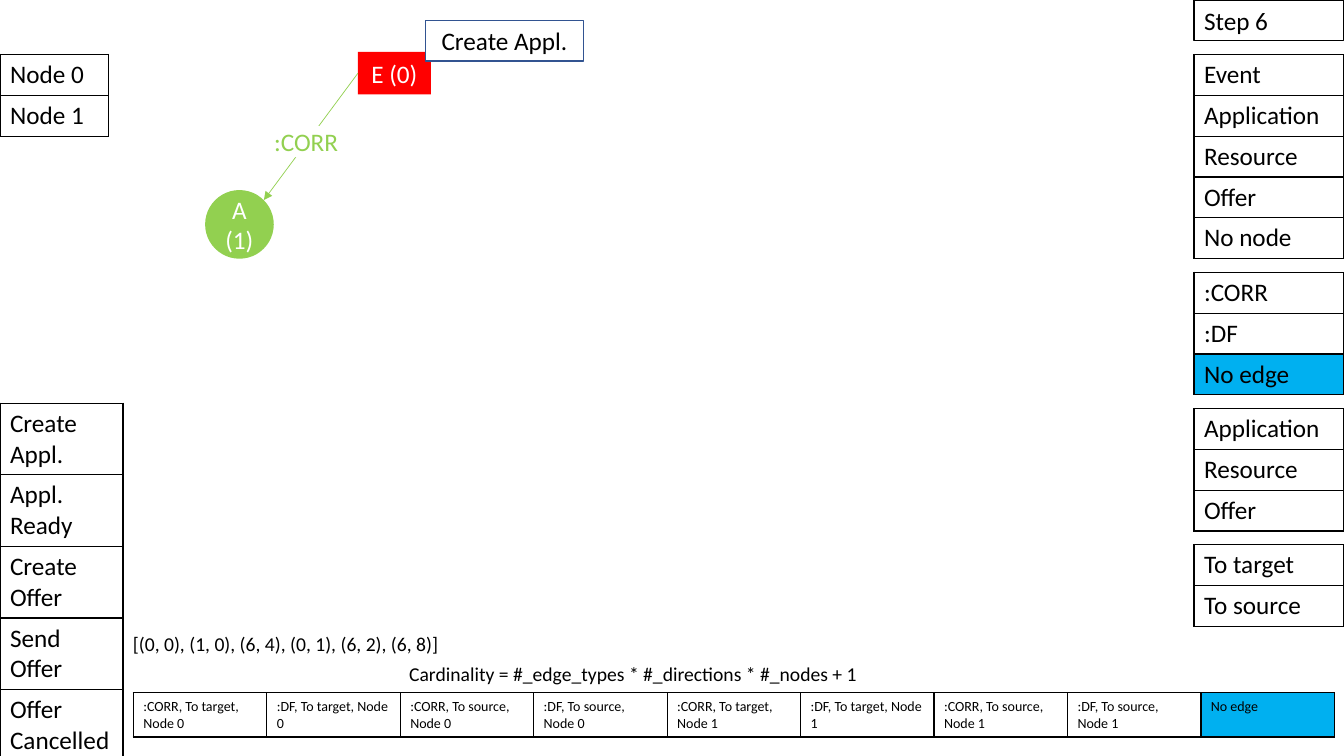
from dataclasses import dataclass

from lxml import etree
from pptx import Presentation
from pptx import util as u
from pptx.dml.color import RGBColor
from pptx.enum import shapes, text
from pptx.oxml import ns


@dataclass(frozen=True)
class Theme:
    font: str = "Calibri"
    black: RGBColor = RGBColor(0, 0, 0)
    white: RGBColor = RGBColor(255, 255, 255)
    event: RGBColor = RGBColor(255, 0, 0)
    application: RGBColor = RGBColor(0x92, 0xD0, 0x50)
    chosen: RGBColor = RGBColor(0x00, 0xB0, 0xF0)
    outline: RGBColor = RGBColor(0x32, 0x54, 0x91)
    body: int = 18
    note: int = 14
    code: int = 10


theme = Theme()
Cm = u.Cm


def write(frame, words, size=theme.body, color=theme.black, align=text.PP_ALIGN.LEFT):
    paragraph = frame.paragraphs[0]
    paragraph.alignment = align
    run = paragraph.add_run()
    run.text = words
    run.font.name, run.font.size = theme.font, u.Pt(size)
    run.font.color.rgb = color


def add_grid(left, top, width, row_height, rows, size=theme.body, chosen=None):
    """Black-ruled table; the cell whose words equal chosen is highlighted."""
    columns = len(rows[0])
    grid = slide.shapes.add_table(len(rows), columns, Cm(left), Cm(top), Cm(width),
                                  Cm(row_height * len(rows))).table
    grid.first_row = grid.horz_banding = False
    for column in grid.columns:
        column.width = Cm(width / columns)
    for r, row in enumerate(rows):
        grid.rows[r].height = Cm(row_height)
        for c, words in enumerate(row):
            cell = grid.cell(r, c)
            write(cell.text_frame, words, size)
            properties = cell._tc.get_or_add_tcPr()
            for side in ("a:lnL", "a:lnR", "a:lnT", "a:lnB"):
                border = etree.SubElement(properties, ns.qn(side), w="12700")
                paint = etree.SubElement(border, ns.qn("a:solidFill"))
                etree.SubElement(paint, ns.qn("a:srgbClr"), val=str(theme.black))
            if words == chosen:
                cell.fill.solid()
                cell.fill.fore_color.rgb = theme.chosen
            else:
                cell.fill.background()


prs = Presentation()
prs.slide_width, prs.slide_height = Cm(33.87), Cm(19.05)
slide = prs.slides.add_slide(prs.slide_layouts[5])

# Step title
row_height = 1.03
side_left, side_width = 30.09, 3.78
step = slide.shapes.title
step.left, step.top, step.width, step.height = Cm(side_left), Cm(0), Cm(side_width), Cm(1.02)
step.line.color.rgb, step.line.width = theme.black, u.Pt(0.75)
step.text_frame.auto_size = text.MSO_AUTO_SIZE.NONE
step.text_frame.vertical_anchor = text.MSO_ANCHOR.TOP
write(step.text_frame, "Step 6")
step.text_frame.paragraphs[0].line_spacing = 1.0

# Choices on the right, stacked with equal gaps
choices = [
    ["Event", "Application", "Resource", "Offer", "No node"],
    [":CORR", ":DF", "No edge"],
    ["Application", "Resource", "Offer"],
    ["To target", "To source"],
]
choice_top = 1.37
for options in choices:
    add_grid(side_left, choice_top, side_width, row_height, [[o] for o in options],
             chosen="No edge")
    choice_top += row_height * len(options) + 0.34

# Nodes and activities on the left
add_grid(0, 1.37, 2.74, row_height, [["Node 0"], ["Node 1"]])
activities = ["Create Appl.", "Appl. Ready", "Create Offer", "Send Offer", "Offer Cancelled"]
add_grid(0, 10.16, 3.1, 1.78, [[a] for a in activities])

# Graph: nodes, then the edge with its label on top
RECT, OVAL = shapes.MSO_SHAPE.RECTANGLE, shapes.MSO_SHAPE.OVAL
graph = [
    ("E (0)", RECT, 9.02, 1.31, 1.84, 1.07, theme.event, theme.white),
    ("Create Appl.", RECT, 10.72, 0.51, 3.99, 1.03, theme.white, theme.black),
    ("A (1)", OVAL, 5.17, 4.79, 1.73, 1.73, theme.application, theme.white),
    (":CORR", RECT, 6.65, 3.18, 2.13, 0.78, theme.white, theme.application),
]
for words, outline, left, top, width, height, fill, color in graph:
    if words == ":CORR":
        edge = slide.shapes.add_connector(shapes.MSO_CONNECTOR.STRAIGHT,
                                          Cm(6.65), Cm(5.04), Cm(9.02), Cm(1.84))
        edge.end_connect(event, 1)
        edge.line.color.rgb, edge.line.width = theme.application, u.Pt(0.5)
        etree.SubElement(edge.line._get_or_add_ln(), ns.qn("a:headEnd"), type="triangle")
        etree.SubElement(edge._element.spPr, ns.qn("a:effectLst"))
    node = slide.shapes.add_shape(outline, Cm(left), Cm(top), Cm(width), Cm(height))
    node.shadow.inherit = False
    node.fill.solid()
    node.fill.fore_color.rgb = fill
    if words == "Create Appl.":
        node.line.color.rgb, node.line.width = theme.outline, u.Pt(1)
    else:
        node.line.fill.background()
    if words == "E (0)":
        event = node
    node.text_frame.word_wrap = True
    node.text_frame.vertical_anchor = text.MSO_ANCHOR.MIDDLE
    write(node.text_frame, words, color=color, align=text.PP_ALIGN.CENTER)

# Edge encoding: every type, direction and node, plus no edge
codes = [f"{kind}, To {direction}, Node {number}"
         for number in (0, 1) for direction in ("target", "source") for kind in (":CORR", ":DF")]
add_grid(3.36, 17.46, 30.27, 1.1, [codes + ["No edge"]], theme.code, "No edge")

# Notes above the encoding
notes = [
    ("[(0, 0), (1, 0), (6, 4), (0, 1), (6, 2), (6, 8)]", 3.1, 15.8, 30.77, text.PP_ALIGN.LEFT),
    ("Cardinality = #_edge_types * #_directions * #_nodes + 1", 9.92, 16.56, 12.08,
     text.PP_ALIGN.CENTER),
]
for words, left, top, width, align in notes:
    note = slide.shapes.add_textbox(Cm(left), Cm(top), Cm(width), Cm(0.86))
    note.text_frame.word_wrap = True
    write(note.text_frame, words, theme.note, align=align)

prs.save("out.pptx")
